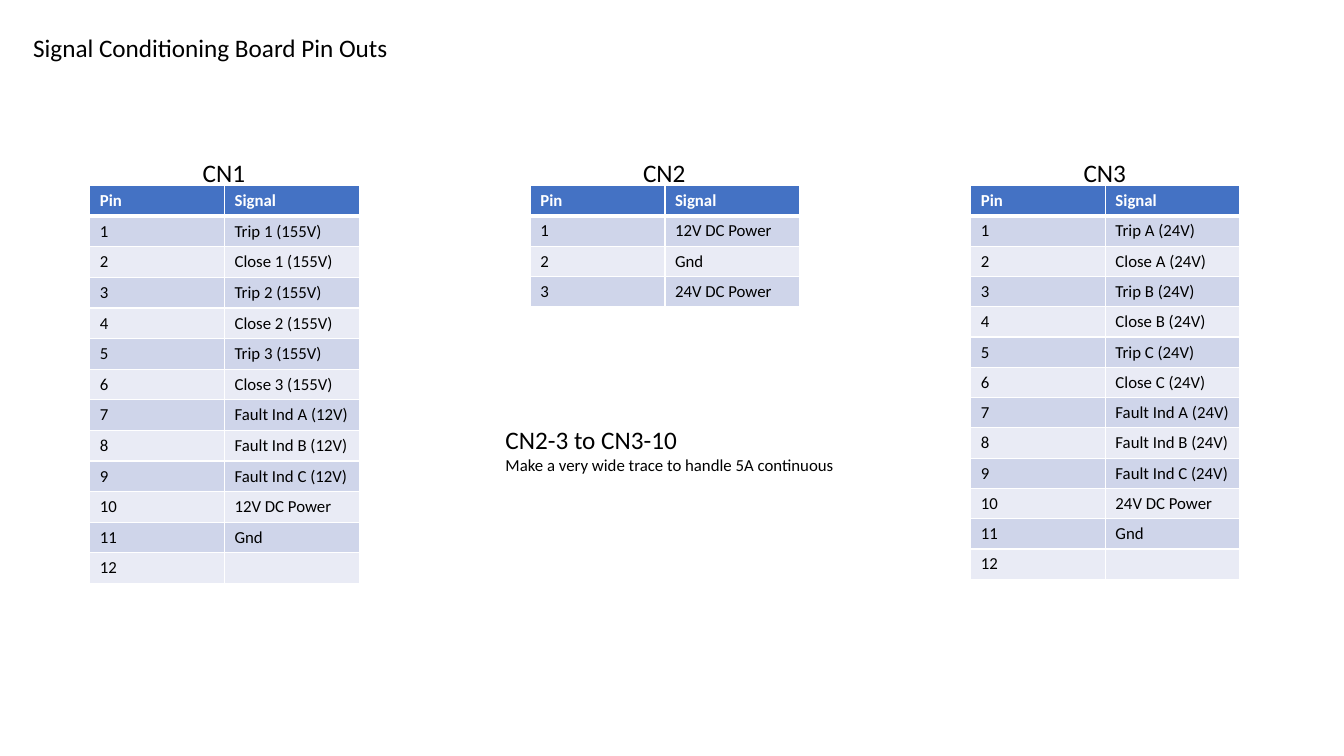
import dataclasses

import pptx
import pptx.dml.color
import pptx.enum.text
import pptx.oxml.ns
import pptx.util
from lxml import etree

Pt = pptx.util.Pt


@dataclasses.dataclass(frozen=True)
class Theme:
    """Colours, type sizes and line widths of the slide."""
    font: str = "Calibri"
    ink: str = "000000"
    white: str = "FFFFFF"
    head: str = "4472C4"
    bands: tuple = ("CFD5EA", "E9EBF5")
    big: int = 18
    small: int = 12
    thin: int = 1
    thick: int = 3


def color(code):
    """Turn a hex code into a colour."""
    return pptx.dml.color.RGBColor.from_string(code)


class Page:
    """Draws text and pin tables on one slide."""

    def __init__(self, slide, theme):
        """Keep the slide and its theme."""
        self.slide = slide
        self.theme = theme

    def style(self, para, size, ink, bold=False):
        """Set the font of a paragraph."""
        font = para.font
        font.name = self.theme.font
        font.size = Pt(size)
        font.bold = bold
        font.color.rgb = color(ink)

    def text(self, left, top, width, height, lines):
        """Add a text box from pairs of wording and size."""
        box = self.slide.shapes.add_textbox(Pt(left), Pt(top), Pt(width), Pt(height))
        frame = box.text_frame
        frame.word_wrap = False
        frame.auto_size = pptx.enum.text.MSO_AUTO_SIZE.SHAPE_TO_FIT_TEXT
        for i, (words, size) in enumerate(lines):
            para = frame.add_paragraph() if i else frame.paragraphs[0]
            para.text = words
            self.style(para, size, self.theme.ink)

    def border(self, cell, head):
        """Draw the four edges of a cell."""
        props = cell._tc.get_or_add_tcPr()
        qn = pptx.oxml.ns.qn
        for side in "LRTB":
            wide = self.theme.thick if head and side == "B" else self.theme.thin
            line = etree.SubElement(props, qn(f"a:ln{side}"), w=str(Pt(wide)))
            fill = etree.SubElement(line, qn("a:solidFill"))
            etree.SubElement(fill, qn("a:srgbClr"), val=self.theme.white)

    def cell(self, cell, words, row):
        """Fill in one cell of a pin table."""
        theme = self.theme
        head = row == 0
        self.border(cell, head)
        cell.fill.solid()
        cell.fill.fore_color.rgb = color(theme.head if head else theme.bands[(row - 1) % 2])
        para = cell.text_frame.paragraphs[0]
        if words:
            para.text = words
        else:
            etree.SubElement(para._p, pptx.oxml.ns.qn("a:endParaRPr"), sz=str(theme.small * 100))
        self.style(para, theme.small, theme.white if head else theme.ink, head)

    def pins(self, left, top, width, pitch, signals):
        """Add a table that numbers the signals."""
        rows = [("Pin", "Signal")]
        rows += [(str(pin), name) for pin, name in enumerate(signals, 1)]
        shape = self.slide.shapes.add_table(
            len(rows), 2, Pt(left), Pt(top), Pt(width), Pt(pitch * len(rows)))
        table = shape.table
        table.horz_banding = False
        for r, row in enumerate(rows):
            for c, words in enumerate(row):
                self.cell(table.cell(r, c), words, r)


def board(keys, volts, fault):
    """List the signals of a twelve-pin connector."""
    names = [f"{act} {key} ({volts})" for key in keys for act in ("Trip", "Close")]
    names += [f"Fault Ind {key} ({fault})" for key in "ABC"]
    return names + [f"{fault} DC Power", "Gnd", ""]


def main():
    """Build and save the slide."""
    deck = pptx.Presentation()
    deck.slide_width, deck.slide_height = Pt(960), Pt(540)
    theme = Theme()
    page = Page(deck.slides.add_slide(deck.slide_layouts[6]), theme)

    plugs = {
        "CN1": board("123", "155V", "12V"),
        "CN2": ["12V DC Power", "Gnd", "24V DC Power"],
        "CN3": board("ABC", "24V", "24V"),
    }
    wide, tag = 192.4, 45.4
    for i, (name, signals) in enumerate(plugs.items()):
        left = 64.2 + 314.6 * i
        page.pins(left, 132.6, wide, 21.6, signals)
        page.text(left + (wide - tag) / 2, 109, tag, 29, [(name, theme.big)])

    page.text(16.6, 19.5, 270.7, 29, [("Signal Conditioning Board Pin Outs", theme.big)])
    page.text(354, 299.5, 252, 44, [
        ("CN2-3 to CN3-10", theme.big),
        ("Make a very wide trace to handle 5A continuous", theme.small),
    ])
    deck.save("out.pptx")


if __name__ == "__main__":
    main()
